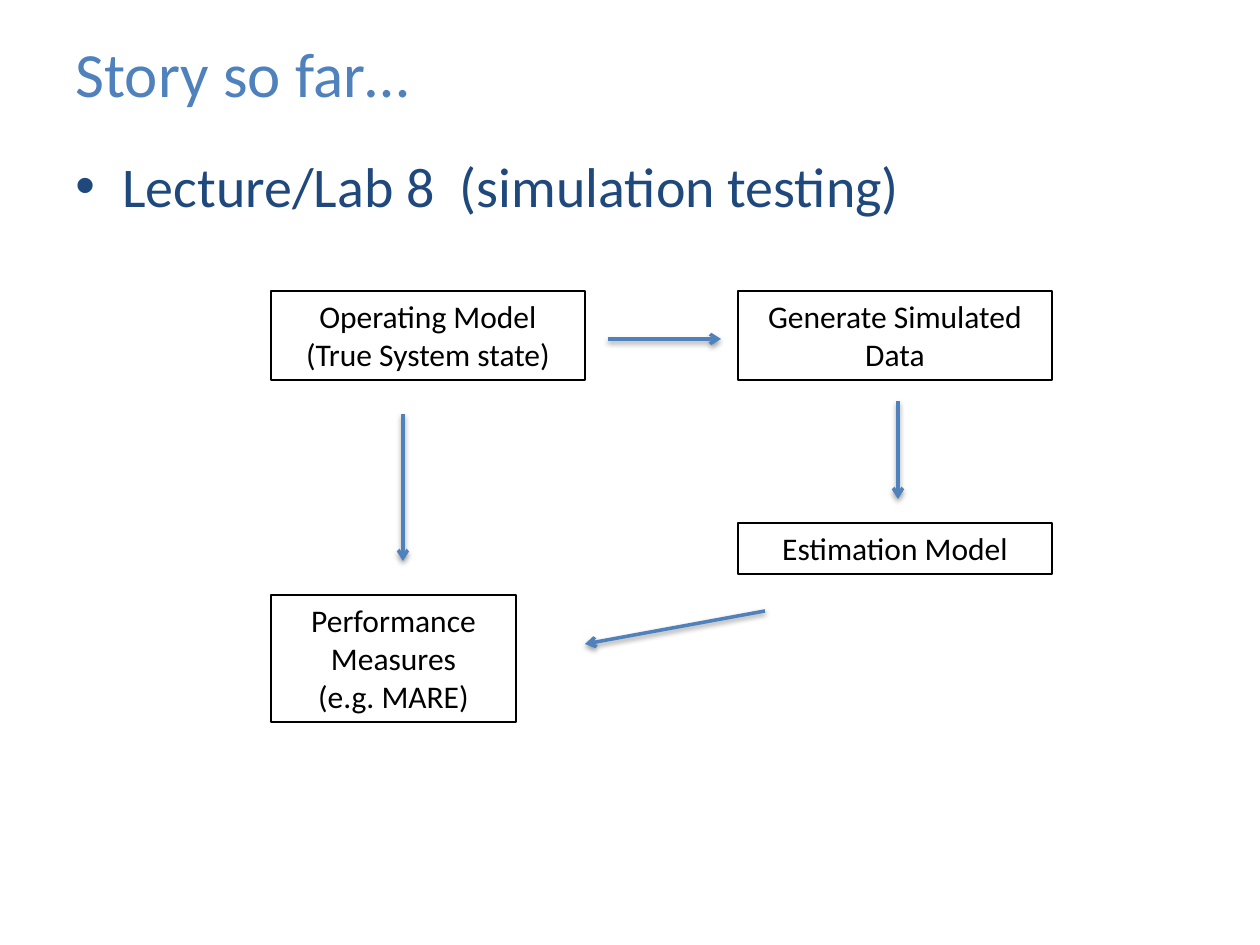
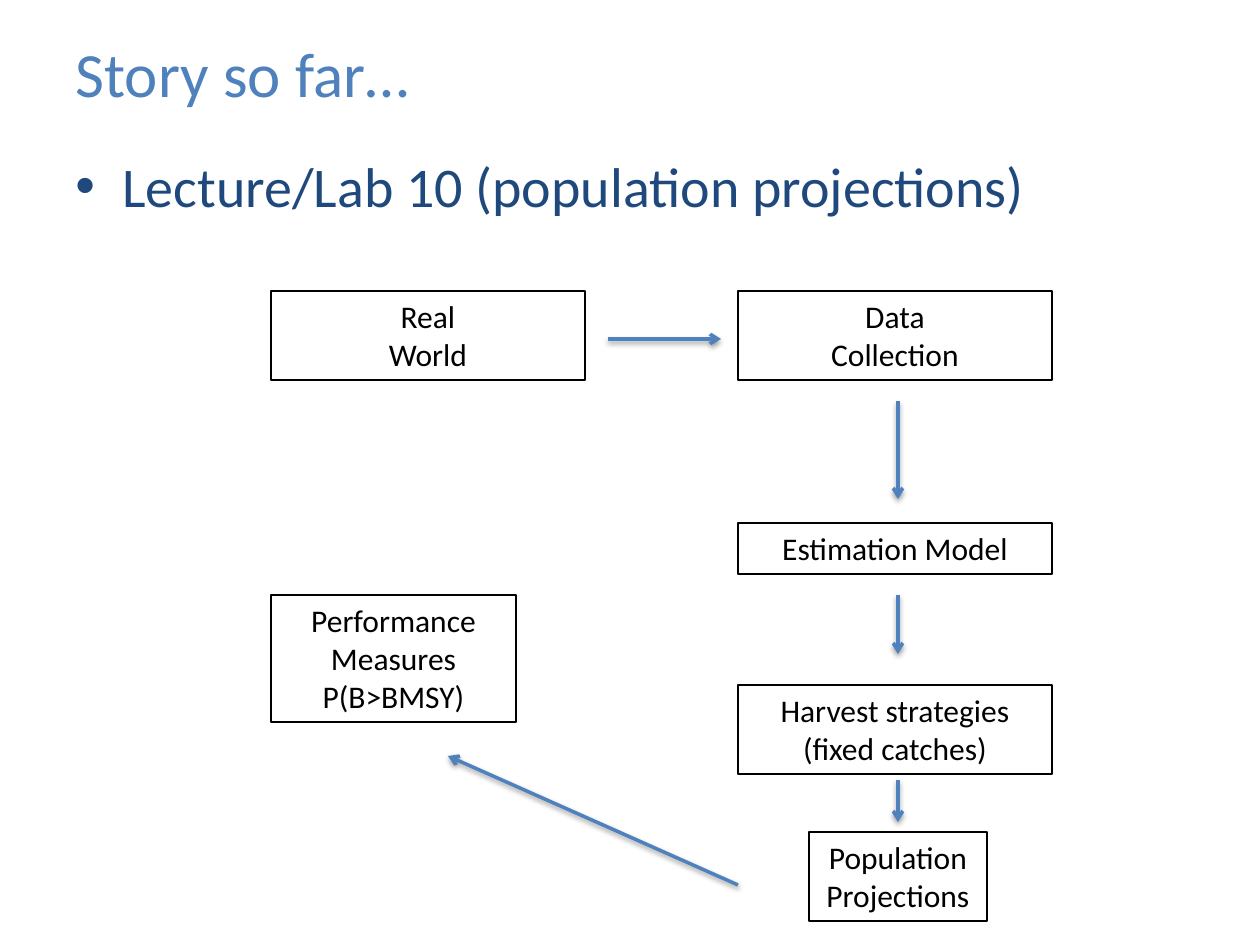
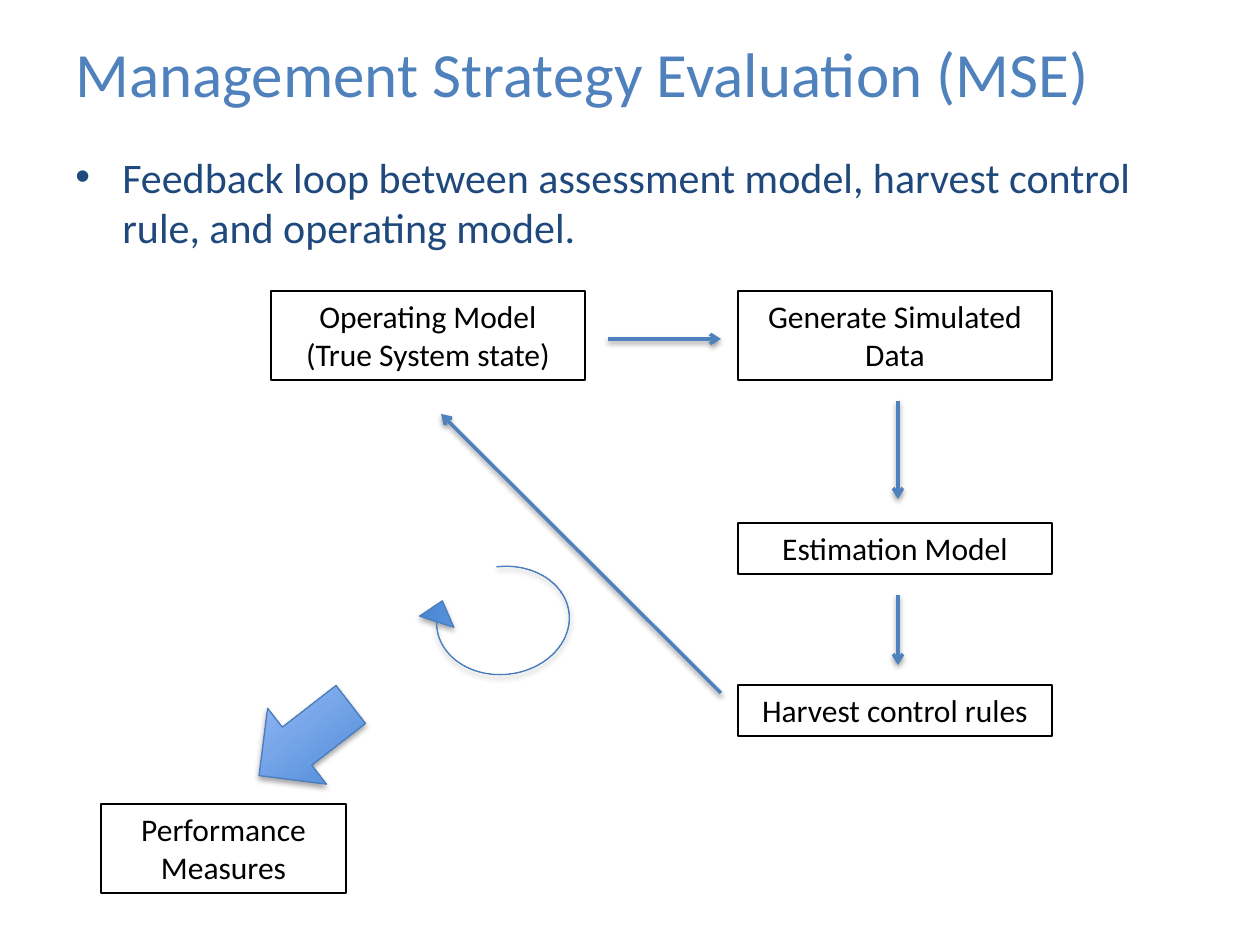
"""Build three slides that lead from simulation testing to management strategy evaluation."""
import lxml.etree
import pptx
import pptx.dml.color
import pptx.enum.shapes
import pptx.enum.text
import pptx.oxml.ns
import pptx.util

THEME = {
    "font": "Calibri",
    "title": "4F81BD", "body": "1F497D", "ink": "000000", "arrow": "4F81BD",
    "outline": "4B7EBC", "gradient": ("3F80CE", "A4C4FF"),
    "title_size": 36, "box_size": 18,
    "box_line": 0.75, "arrow_line": 2,
}
EMU_PER_PX = 914400 / 126
SLIDE_SIZE = (1260, 945)
TITLE_AREA = (63, 25, 1134, 94)
BODY_AREA = (63, 145, 1134, 770)
BULLET_INDENT = 47
LEFT, RIGHT = 271, 738
WIDE, NARROW, SMALL = 314, 245, 178
TOP_ROW, MODEL_ROW, MEASURES_ROW, HARVEST_ROW = 291, 523, 595, 685
LINE_HEIGHT, BOX_PADDING = 38, 13
FLOW_X = 898

OPERATING = ("Operating Model\n(True System state)", LEFT, TOP_ROW, WIDE, 2)
SIMULATED = ("Generate Simulated Data", RIGHT, TOP_ROW, WIDE, 2)
ESTIMATION = ("Estimation Model", RIGHT, MODEL_ROW, WIDE, 1)
TO_DATA = (608, 339, 721, 339)
TO_MODEL = (FLOW_X, 401, FLOW_X, 499)

SLIDES = [
    {
        "title": "Story so far…",
        "bullet": "Lecture/Lab 8  (simulation testing)",
        "bullet_size": 32,
        "boxes": [
            OPERATING, SIMULATED, ESTIMATION,
            ("Performance Measures\n(e.g. MARE)", LEFT, MEASURES_ROW, NARROW, 3),
        ],
        "arrows": [TO_DATA, TO_MODEL, (403, 414, 403, 561), (765, 611, 585, 644)],
    },
    {
        "title": "Story so far…",
        "bullet": "Lecture/Lab 10 (population projections)",
        "bullet_size": 32,
        "boxes": [
            ("Real\nWorld", LEFT, TOP_ROW, WIDE, 2),
            ("Data\nCollection", RIGHT, TOP_ROW, WIDE, 2),
            ESTIMATION,
            ("Harvest strategies\n(fixed catches)", RIGHT, HARVEST_ROW, WIDE, 2),
            ("Population Projections", 809, 832, SMALL, 2),
            ("Performance Measures\nP(B>BMSY)", LEFT, MEASURES_ROW, NARROW, 3),
        ],
        "arrows": [
            TO_DATA, TO_MODEL, (FLOW_X, 595, FLOW_X, 654),
            (FLOW_X, 780, FLOW_X, 822), (738, 885, 448, 756),
        ],
    },
    {
        "title": "Management Strategy Evaluation (MSE)",
        "bullet": "Feedback loop between assessment model, harvest control rule, and operating model.",
        "bullet_size": 24,
        "boxes": [
            OPERATING, SIMULATED, ESTIMATION,
            ("Performance Measures", 101, 804, NARROW, 2),
            ("Harvest control rules", RIGHT, HARVEST_ROW, WIDE, 1),
        ],
        "arrows": [TO_DATA, TO_MODEL, (FLOW_X, 595, FLOW_X, 665), (721, 693, 441, 414)],
        "block_arrows": [
            ("LEFT_ARROW", (247, 692, 116, 96), 322.2, ()),
            ("CIRCULAR_ARROW", (431, 536, 144, 169), 83.5, (0, 11.42, 57.26, 108, 0.125)),
        ],
    },
]


def px(*lengths):
    return [pptx.util.Emu(round(length * EMU_PER_PX)) for length in lengths]


def rgb(value):
    return pptx.dml.color.RGBColor.from_string(value)


def add_element(parent, tag, **attributes):
    element = lxml.etree.SubElement(parent, pptx.oxml.ns.qn(tag))
    for name, value in attributes.items():
        element.set(name, str(value))
    return element


def write(frame, text, *, size, color, align="LEFT", bullet=False):
    frame.word_wrap = True
    for index, line in enumerate(text.split("\n")):
        paragraph = frame.paragraphs[0] if index == 0 else frame.add_paragraph()
        paragraph.alignment = pptx.enum.text.PP_ALIGN[align]
        if bullet:
            indent = px(BULLET_INDENT)[0]
            properties = paragraph._p.get_or_add_pPr()
            properties.set("marL", str(indent))
            properties.set("indent", str(-indent))
            add_element(properties, "a:buFont", typeface="Arial")
            add_element(properties, "a:buChar", char="•")
        run = paragraph.add_run()
        run.text = line
        run.font.name = THEME["font"]
        run.font.size = pptx.util.Pt(size)
        run.font.color.rgb = rgb(color)


def set_line(shape, color, width):
    shape.line.color.rgb = rgb(color)
    shape.line.width = pptx.util.Pt(width)


def add_shadow(shape, distance, opacity):
    effects = add_element(shape.element.spPr, "a:effectLst")
    shadow = add_element(effects, "a:outerShdw", blurRad=40000, dist=distance,
                         dir=5400000, rotWithShape=0)
    add_element(add_element(shadow, "a:srgbClr", val=THEME["ink"]),
                "a:alpha", val=opacity * 1000)


def add_headings(slide, content):
    title = slide.shapes.title
    title.left, title.top, title.width, title.height = px(*TITLE_AREA)
    title.text_frame.auto_size = pptx.enum.text.MSO_AUTO_SIZE.NONE
    title.text_frame.vertical_anchor = pptx.enum.text.MSO_ANCHOR.MIDDLE
    write(title.text_frame, content["title"], size=THEME["title_size"], color=THEME["title"])
    body = slide.shapes.add_textbox(*px(*BODY_AREA))
    write(body.text_frame, content["bullet"], size=content["bullet_size"],
          color=THEME["body"], bullet=True)


def add_box(slide, text, left, top, width, lines):
    height = BOX_PADDING + LINE_HEIGHT * lines
    box = slide.shapes.add_textbox(*px(left, top, width, height))
    set_line(box, THEME["ink"], THEME["box_line"])
    box.text_frame.auto_size = pptx.enum.text.MSO_AUTO_SIZE.SHAPE_TO_FIT_TEXT
    write(box.text_frame, text, size=THEME["box_size"], color=THEME["ink"], align="CENTER")


def add_arrow(slide, ends):
    arrow = slide.shapes.add_connector(pptx.enum.shapes.MSO_CONNECTOR.STRAIGHT, *px(*ends))
    set_line(arrow, THEME["arrow"], THEME["arrow_line"])
    add_element(arrow.element.spPr.find(pptx.oxml.ns.qn("a:ln")), "a:tailEnd", type="arrow")
    add_shadow(arrow, 20000, 38)


def add_block_arrow(slide, kind, area, rotation, adjustments):
    arrow = slide.shapes.add_shape(pptx.enum.shapes.MSO_SHAPE[kind], *px(*area))
    arrow.rotation = rotation
    for index, value in enumerate(adjustments):
        arrow.adjustments[index] = value
    arrow.fill.gradient()
    arrow.fill.gradient_angle = 90
    for position, (stop, color) in enumerate(zip(arrow.fill.gradient_stops, THEME["gradient"])):
        stop.position = position
        stop.color.rgb = rgb(color)
    set_line(arrow, THEME["outline"], THEME["box_line"])
    add_shadow(arrow, 23000, 35)


def main():
    presentation = pptx.Presentation()
    presentation.slide_width, presentation.slide_height = px(*SLIDE_SIZE)
    title_only = presentation.slide_layouts.get_by_name("Title Only")
    for content in SLIDES:
        slide = presentation.slides.add_slide(title_only)
        add_headings(slide, content)
        for box in content["boxes"]:
            add_box(slide, *box)
        for ends in content["arrows"]:
            add_arrow(slide, ends)
        for block_arrow in content.get("block_arrows", []):
            add_block_arrow(slide, *block_arrow)
    presentation.save("out.pptx")


if __name__ == "__main__":
    main()
